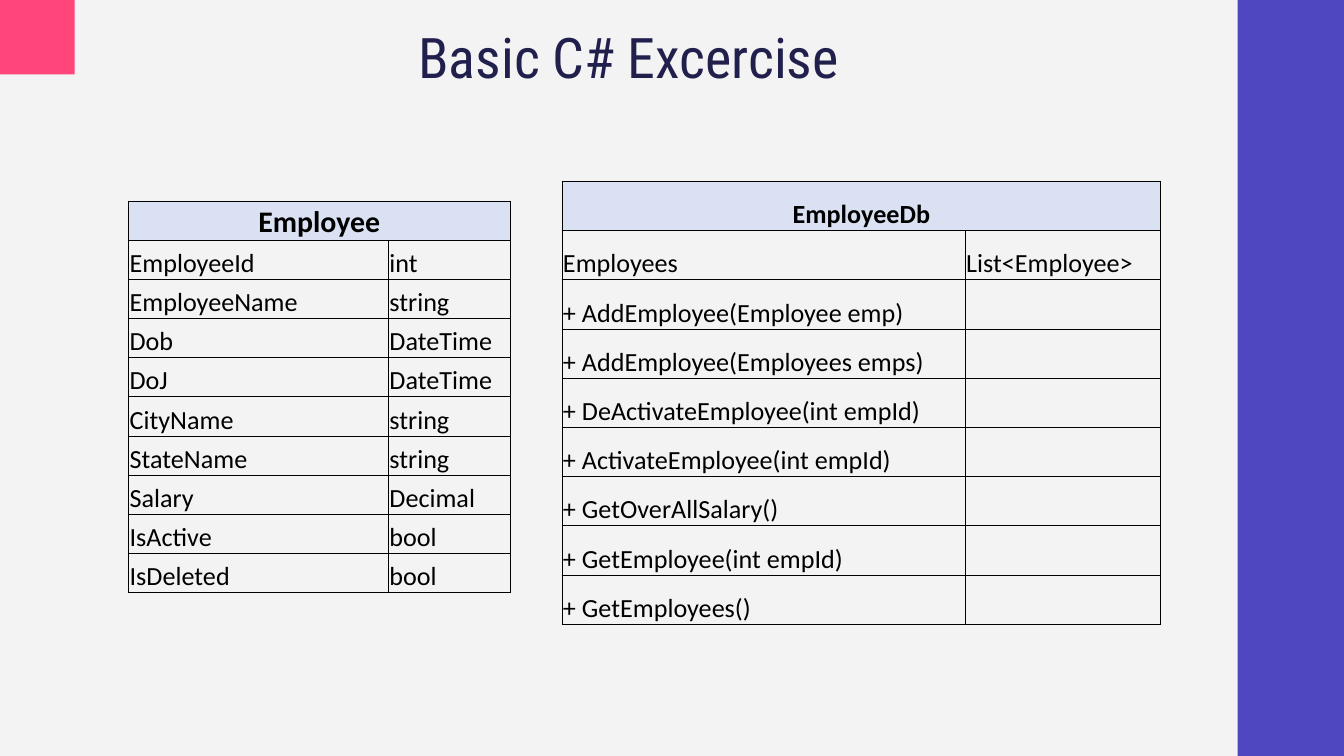
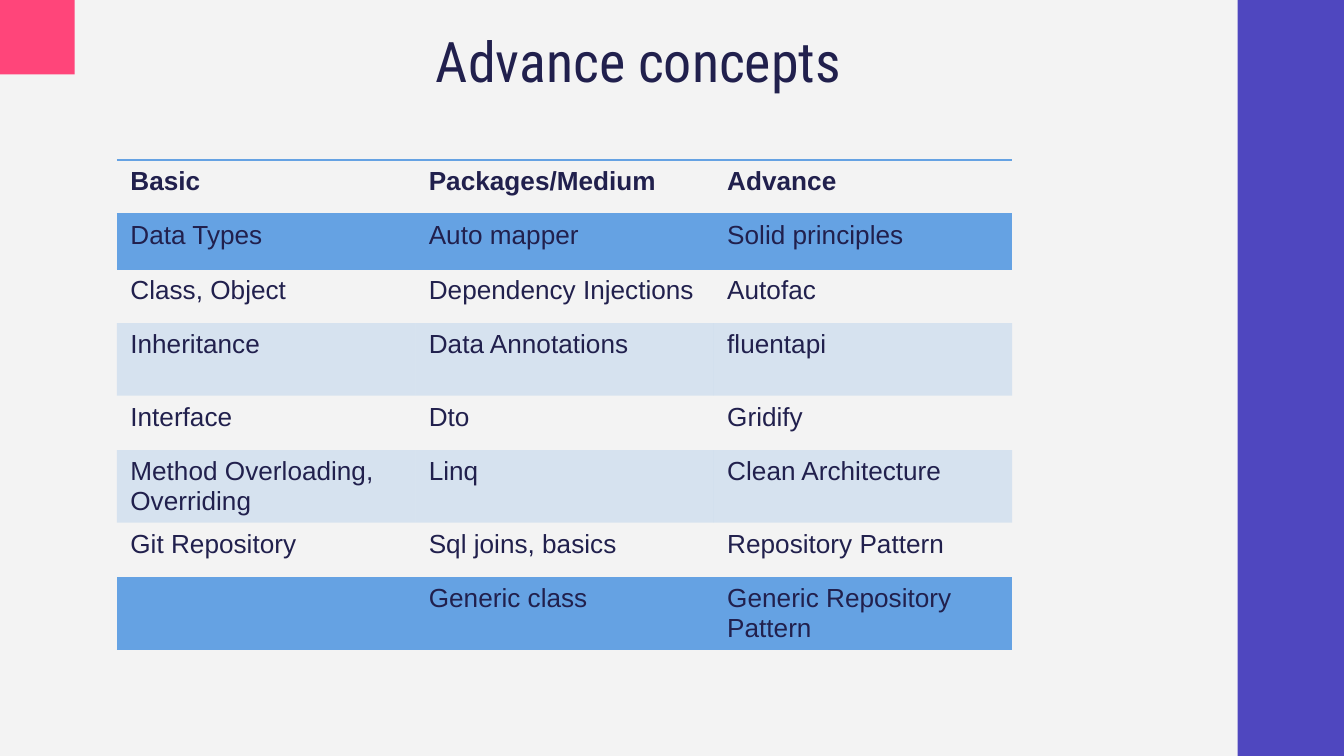
from lxml.etree import SubElement
from pptx import Presentation
from pptx.dml.color import RGBColor as RGB
from pptx.enum.shapes import MSO_SHAPE as SHAPE
from pptx.enum.text import MSO_ANCHOR as ANCHOR, PP_ALIGN as ALIGN
from pptx.oxml.ns import qn
from pptx.util import Cm, Pt

COLORS = {
    "page": "F3F3F3",
    "band": "4F47BF",
    "corner": "FF457A",
    "ink": "21204D",
    "black": "000000",
    "header": "D9E1F2",
    "accent": "65A2E3",
}
PAGE_W, PAGE_H = 25.4, 14.29
BAND_W, CORNER = 2.01, 1.41
NO_STYLE = "{2D5ABB26-0587-4C30-8999-92F81FD0307C}"

EMPLOYEE = [
    ("Employee", ""),
    ("EmployeeId", "int"),
    ("EmployeeName", "string"),
    ("Dob", "DateTime"),
    ("DoJ", "DateTime"),
    ("CityName", "string"),
    ("StateName", "string"),
    ("Salary", "Decimal"),
    ("IsActive", "bool"),
    ("IsDeleted", "bool"),
]
EMPLOYEE_DB = [
    ("EmployeeDb", ""),
    ("Employees", "List<Employee>"),
    ("+ AddEmployee(Employee emp)", ""),
    ("+ AddEmployee(Employees emps)", ""),
    ("+ DeActivateEmployee(int empId)", ""),
    ("+ ActivateEmployee(int empId)", ""),
    ("+ GetOverAllSalary()", ""),
    ("+ GetEmployee(int empId)", ""),
    ("+ GetEmployees()", ""),
]
CONCEPTS = [
    ("Basic", "Packages/Medium", "Advance"),
    ("Data Types", "Auto mapper", "Solid principles"),
    ("Class, Object", "Dependency Injections", "Autofac"),
    ("Inheritance", "Data Annotations", "fluentapi"),
    ("Interface", "Dto", "Gridify"),
    ("Method Overloading, Overriding", "Linq", "Clean Architecture"),
    ("Git Repository", "Sql joins, basics", "Repository Pattern"),
    ("", "Generic class", "Generic Repository Pattern"),
]


def rgb(name):
    """Return the named colour."""
    return RGB.from_string(COLORS[name])


def add_run(p, text, size, font, color, bold=False):
    """Add one formatted run to a paragraph."""
    r = p.add_run()
    r.text = text
    r.font.size, r.font.name, r.font.bold = Pt(size), font, bold
    r.font.color.rgb = rgb(color)


def add_block(s, x, y, w, h, color):
    """Add a plain filled rectangle."""
    sp = s.shapes.add_shape(SHAPE.RECTANGLE, Cm(x), Cm(y), Cm(w), Cm(h))
    sp.shadow.inherit = False
    sp.fill.solid()
    sp.fill.fore_color.rgb = rgb(color)
    sp.line.fill.background()


def add_page(prs, title, box):
    """Add a slide with the shared blocks and a title in the given box."""
    s = prs.slides.add_slide(prs.slide_layouts[5])
    add_block(s, PAGE_W - BAND_W, 0, BAND_W, PAGE_H, "band")
    add_block(s, 0, 0, CORNER, CORNER, "corner")
    sp = s.shapes.title
    sp.left, sp.top, sp.width, sp.height = map(Cm, box)
    tf = sp.text_frame
    tf.word_wrap = True
    tf.vertical_anchor = ANCHOR.MIDDLE
    tf.margin_left = tf.margin_right = Cm(0.18)
    tf.margin_top = tf.margin_bottom = Cm(0.09)
    p = tf.paragraphs[0]
    p.alignment, p.line_spacing = ALIGN.CENTER, 0.9
    add_run(p, title, 30, "Roboto Condensed", "ink")
    return s


def add_grid(s, x, y, widths, heights):
    """Add an unstyled table with the given column widths and row heights."""
    frame = s.shapes.add_table(len(heights), len(widths), Cm(x), Cm(y),
                               Cm(sum(widths)), Cm(sum(heights)))
    table = frame.table
    table.horz_banding = False
    frame._element.find(".//" + qn("a:tableStyleId")).text = NO_STYLE
    for col, w in zip(table.columns, widths):
        col.width = Cm(w)
    for row, h in zip(table.rows, heights):
        row.height = Cm(h)
    return table


def set_borders(cell, sides, color, width):
    """Draw lines on the given sides of a cell, in L, R, T, B order."""
    tcPr = cell._tc.get_or_add_tcPr()
    for side in sides:
        ln = SubElement(tcPr, qn(f"a:ln{side}"), w=str(Pt(width)))
        fill = SubElement(ln, qn("a:solidFill"))
        SubElement(fill, qn("a:srgbClr"), val=COLORS[color])


def set_fill(cell, color=None, alpha=None):
    """Fill a cell, or leave it clear when no colour is given."""
    if not color:
        cell.fill.background()
        return
    cell.fill.solid()
    cell.fill.fore_color.rgb = rgb(color)
    if alpha:
        clr = cell._tc.tcPr.find(".//" + qn("a:srgbClr"))
        SubElement(clr, qn("a:alpha"), val=str(alpha * 1000))


def class_table(s, x, y, widths, row_h, rows, title_size):
    """Add a class diagram table with a merged header."""
    table = add_grid(s, x, y, widths, [row_h] * len(rows))
    table.cell(0, 0).merge(table.cell(0, 1))
    for i, row in enumerate(rows):
        head = i == 0
        for j, text in enumerate(row):
            cell = table.cell(i, j)
            set_borders(cell, "LRTB", "black", 0.5)
            set_fill(cell, "header" if head else None)
            cell.vertical_anchor = ANCHOR.BOTTOM
            cell.margin_left = cell.margin_right = cell.margin_top = Cm(0.02)
            cell.margin_bottom = 0
            p = cell.text_frame.paragraphs[0]
            if head:
                p.alignment = ALIGN.CENTER
            if text:
                add_run(p, text, title_size if head else 14, "Calibri", "black", head)


def concept_table(s, x, y, col_w, row_h, tall_h, tall_rows, rows):
    """Add the banded table of concepts."""
    last = len(rows) - 1
    heights = [tall_h if i in tall_rows else row_h for i in range(len(rows))]
    table = add_grid(s, x, y, [col_w] * len(rows[0]), heights)
    for i, row in enumerate(rows):
        sides = {0: "TB", 1: "T", last: "B"}.get(i, "")
        for j, text in enumerate(row):
            cell = table.cell(i, j)
            set_borders(cell, sides, "accent", 1)
            set_fill(cell, "accent" if i % 2 else None, 20)
            if text:
                p = cell.text_frame.paragraphs[0]
                add_run(p, text, 14, "Arial", "ink", i == 0)


def exercise_slide(prs):
    """Build the exercise slide with its two class tables."""
    s = add_page(prs, "Basic C# Excercise", (2.92, 0.46, 17.93, 1.37))
    class_table(s, 10.62, 3.43, (7.62, 3.7), 0.93, EMPLOYEE_DB, 14)
    class_table(s, 2.43, 3.8, (4.91, 2.3), 0.74, EMPLOYEE, 16)


def concepts_slide(prs):
    """Build the slide of advanced concepts."""
    s = add_page(prs, "Advance concepts", (1.68, 0.58, 20.78, 1.27))
    concept_table(s, 2.21, 3.02, 5.64, 1.03, 1.37, (3, 5, 7), CONCEPTS)


def main():
    """Build and save the presentation."""
    prs = Presentation()
    prs.slide_width, prs.slide_height = Cm(PAGE_W), Cm(PAGE_H)
    fill = prs.slide_master.background.fill
    fill.solid()
    fill.fore_color.rgb = rgb("page")
    exercise_slide(prs)
    concepts_slide(prs)
    prs.save("out.pptx")


if __name__ == "__main__":
    main()
